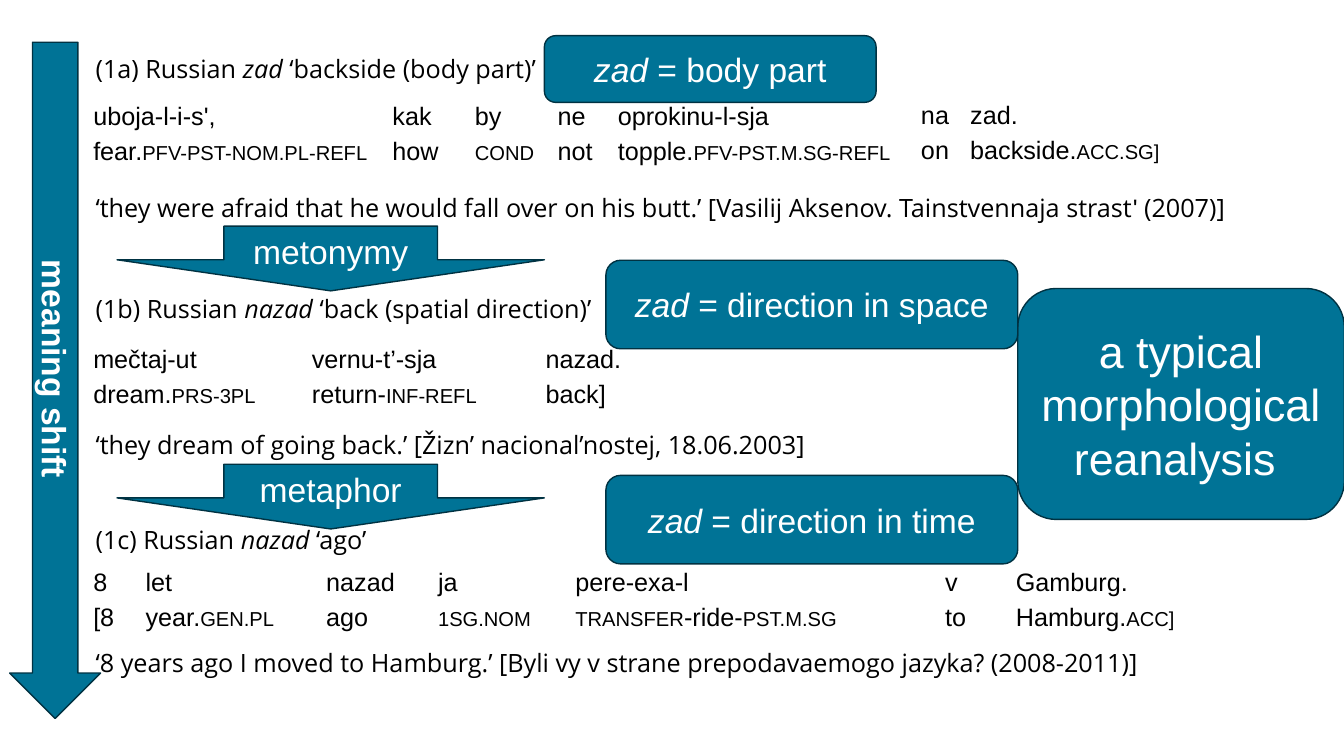
from dataclasses import dataclass

from pptx import Presentation
from pptx.dml.color import RGBColor
from pptx.enum.shapes import MSO_SHAPE as Preset
from pptx.enum.text import MSO_ANCHOR as Anchor, MSO_AUTO_SIZE as AutoSize, PP_ALIGN as Align
from pptx.slide import Slide
from pptx.util import Cm, Pt


@dataclass(frozen=True)
class Theme:
    teal: RGBColor = RGBColor(0x00, 0x73, 0x96)
    outline: RGBColor = RGBColor(0x00, 0x32, 0x42)
    black: RGBColor = RGBColor(0, 0, 0)
    white: RGBColor = RGBColor(255, 255, 255)
    prose_font: str = "Open Sans"
    gloss_font: str = "Arial"
    text_size: int = 18
    label_size: int = 24
    claim_size: int = 32


THEME = Theme()
LEFT = 2.16
NO_TABLE_STYLE = "{2D5ABB26-0587-4C30-8999-92F81FD0307C}"


@dataclass(frozen=True)
class Piece:
    text: str
    italic: bool = False
    bold: bool = False
    small_caps: bool = False
    font: str = ""


@dataclass(frozen=True)
class Sentence:
    top: float
    width: float
    pieces: list[Piece]


@dataclass(frozen=True)
class Gloss:
    left: float
    top: float
    widths: list[float]
    words: list[str]
    glosses: list[list[Piece]]


@dataclass(frozen=True)
class Label:
    preset: Preset
    box: tuple[float, float, float, float]
    pieces: list[Piece]
    size: int = THEME.label_size
    rotation: int = 0
    adjustments: tuple[float, ...] = ()


def gloss(stem: str, category: str = "", ending: str = "") -> list[Piece]:
    """A plain stem followed by a category label in small capitals."""
    pieces = [Piece(stem), Piece(category, small_caps=True), Piece(ending)]
    return [piece for piece in pieces if piece.text]


def heading(number: str, word: str, meaning: str) -> list[Piece]:
    return [Piece(f"({number}) Russian "), Piece(word, italic=True), Piece(f" ‘{meaning}’")]


def zad(meaning: str) -> list[Piece]:
    return [Piece("zad", italic=True), Piece(f" = {meaning}")]


def add_runs(paragraph, pieces: list[Piece], font: str, size: int, color: RGBColor) -> None:
    for piece in pieces:
        run = paragraph.add_run()
        run.text = piece.text
        run.font.name = piece.font or font
        run.font.size = Pt(size)
        run.font.italic = piece.italic
        run.font.bold = piece.bold
        run.font.color.rgb = color
        if piece.small_caps:
            run.font._element.set("cap", "small")


def draw_sentence(slide: Slide, sentence: Sentence) -> None:
    shape = slide.shapes.add_textbox(Cm(LEFT), Cm(sentence.top), Cm(sentence.width), Cm(1.02))
    frame = shape.text_frame
    frame.word_wrap = True
    frame.auto_size = AutoSize.SHAPE_TO_FIT_TEXT
    add_runs(frame.paragraphs[0], sentence.pieces, THEME.prose_font, THEME.text_size, THEME.black)


def draw_gloss(slide: Slide, item: Gloss) -> None:
    rows = [[gloss(word) for word in item.words], item.glosses]
    table = slide.shapes.add_table(
        len(rows), len(item.widths), Cm(item.left), Cm(item.top),
        Cm(sum(item.widths)), Cm(1.66)).table
    table.first_row = table.horz_banding = False
    table._tbl.tblPr[0].text = NO_TABLE_STYLE
    for column, width in zip(table.columns, item.widths):
        column.width = Cm(width)
    for cell in table.iter_cells():
        cell.fill.background()
        cell.margin_left = cell.margin_right = Cm(0.19)
        cell.margin_top = cell.margin_bottom = 0
        # Keeps the rows of cells without words as low as the others
        cell.text_frame.paragraphs[0].font.size = Pt(THEME.text_size)
    for row_index, row in enumerate(rows):
        for column_index, pieces in enumerate(row):
            paragraph = table.cell(row_index, column_index).text_frame.paragraphs[0]
            paragraph.line_spacing = 1.15
            paragraph.space_after = Pt(10)
            add_runs(paragraph, pieces, THEME.gloss_font, THEME.text_size, THEME.black)


def draw_label(slide: Slide, label: Label) -> None:
    shape = slide.shapes.add_shape(label.preset, *map(Cm, label.box))
    shape.shadow.inherit = False
    shape.rotation = label.rotation
    for index, value in enumerate(label.adjustments):
        shape.adjustments[index] = value
    shape.fill.solid()
    shape.fill.fore_color.rgb = THEME.teal
    shape.line.color.rgb = THEME.outline
    shape.line.width = Pt(1)
    frame = shape.text_frame
    frame.word_wrap = True
    frame.vertical_anchor = Anchor.MIDDLE
    paragraph = frame.paragraphs[0]
    paragraph.alignment = Align.CENTER
    add_runs(paragraph, label.pieces, THEME.gloss_font, label.size, THEME.white)


SENTENCES = [
    Sentence(1.22, 16.94, heading("1a", "zad", "backside (body part)")),
    Sentence(4.72, 30.25, [
        Piece("‘they were afraid that he would fall over on his butt.’ "
              "[Vasilij Aksenov. Tainstvennaja strast"),
        Piece("ʹ", font=THEME.gloss_font), Piece(" (2007)]")]),
    Sentence(7.26, 19.46, heading("1b", "nazad", "back (spatial direction)")),
    Sentence(10.69, 19.46, [
        Piece("‘they dream of going back.’ [Žizn’ nacional’nostej, 18.06.2003]")]),
    Sentence(13.1, 19.46, heading("1c", "nazad", "ago")),
    Sentence(16.18, 28.68, [
        Piece("‘8 years ago I moved to Hamburg.’ "
              "[Byli vy v strane prepodavaemogo jazyka? (2008-2011)]")]),
]

GLOSSES = [
    Gloss(LEFT, 2.49, [7.54, 2.08, 2.08, 1.52, 10.82],
          ["uboja-l-i-sʹ,", "kak", "by", "ne", "oprokinu-l-sja"],
          [gloss("fear.", "pfv-pst-nom.pl-refl"), gloss("how"), gloss("", "cond"),
           gloss("not"), gloss("topple.", "pfv-pst.m.sg-refl")]),
    Gloss(23.02, 2.46, [1.24, 9.35, 5.31], ["na", "zad.", ""],
          [gloss("on"), gloss("backside.", "acc.sg]"), gloss("")]),
    Gloss(LEFT, 8.61, [5.51, 5.89, 5.54], ["mečtaj-ut", "vernu-t’-sja", "nazad."],
          [gloss("dream.", "prs-3pl"), gloss("return-", "inf-refl"), gloss("back]")]),
    Gloss(LEFT, 14.23, [1.32, 4.55, 2.82, 3.46, 9.32, 1.78, 5.41],
          ["8", "let", "nazad", "ja", "pere-exa-l", "v", "Gamburg."],
          [gloss("[8"), gloss("year.", "gen.pl"), gloss("ago"), gloss("", "1sg.nom"),
           gloss("", "transfer", "-ride-") + gloss("", "pst.m.sg"),
           gloss("to"), gloss("Hamburg.", "acc]")]),
]

LABELS = [
    Label(Preset.ROUNDED_RECTANGLE, (25.65, 7.27, 8.23, 5.82),
          [Piece("a typical morphological reanalysis ")], THEME.claim_size),
    Label(Preset.ROUNDED_RECTANGLE, (13.72, 0.9, 8.36, 1.68), zad("body part")),
    *(Label(Preset.ROUNDED_RECTANGLE, (15.27, top, 10.38, 2.23), zad(meaning))
      for top, meaning in [(6.56, "direction in space"), (11.98, "direction in time")]),
    Label(Preset.RIGHT_ARROW, (-7.13, 8.44, 17.04, 2.29),
          [Piece("meaning shift", bold=True)], rotation=90),
    *(Label(Preset.DOWN_ARROW, (2.95, top, 10.77, 1.63), [Piece(shift)],
            adjustments=(0.5, 0.48))
      for top, shift in [(5.7, "metonymy"), (11.7, "metaphor")]),
]


def main() -> None:
    presentation = Presentation()
    presentation.slide_width, presentation.slide_height = Cm(33.87), Cm(19.05)
    slide = presentation.slides.add_slide(presentation.slide_layouts[6])
    # Example sentences and their translations
    for sentence in SENTENCES:
        draw_sentence(slide, sentence)
    # Word-by-word glosses
    for item in GLOSSES:
        draw_gloss(slide, item)
    # Meanings and the shifts between them
    for label in LABELS:
        draw_label(slide, label)
    presentation.save("out.pptx")


if __name__ == "__main__":
    main()
